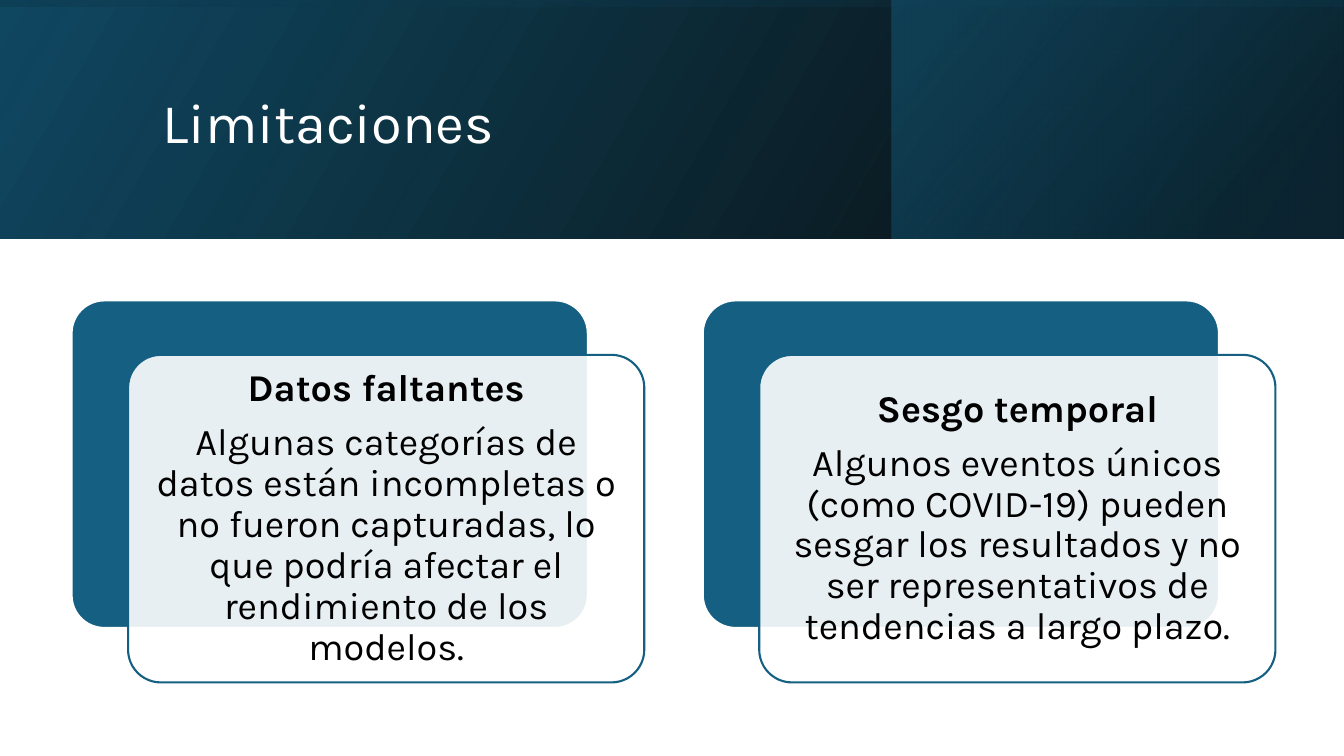
from pptx import Presentation
from pptx.dml.color import RGBColor
from pptx.enum.shapes import MSO_SHAPE
from pptx.enum.text import MSO_ANCHOR, MSO_AUTO_SIZE, PP_ALIGN
from pptx.oxml import parse_xml
from pptx.oxml.ns import nsdecls, qn
from pptx.util import Inches, Pt

RECTANGLE, ROUNDED = MSO_SHAPE.RECTANGLE, MSO_SHAPE.ROUNDED_RECTANGLE
MIDDLE, NO_FIT = MSO_ANCHOR.MIDDLE, MSO_AUTO_SIZE.NONE
LEFT, CENTER = PP_ALIGN.LEFT, PP_ALIGN.CENTER

COLORS = {
    "white": "FFFFFF",
    "black": "000000",
    "teal": "156082",
    "deep": "104862",
    "night": "0B3041",
}
FONT = "Karla"
TITLE_ONLY = 5

# Box, rotation, gradient angle, stops of (position %, color, opacity %)
BANDS = [
    ((0, 0, 13.33, 2.37), 0, 330, [(0, "black", 96), (100, "deep", 100)]),
    ((8.84, 0, 4.48, 2.37), 0, 320, [(19, "night", 68), (100, "teal", 48)]),
    ((5.48, -5.48, 2.37, 13.33), 270, 350, [(23, "deep", 16), (99, "black", 45)]),
]
CARDS = [
    ("Datos faltantes",
     "Algunas categorías de datos están incompletas o no fueron capturadas, "
     "lo que podría afectar el rendimiento de los modelos."),
    ("Sesgo temporal",
     "Algunos eventos únicos (como COVID-19) pueden sesgar los resultados y "
     "no ser representativos de tendencias a largo plazo."),
]
CARD_LEFT, CARD_TOP, CARD_PITCH = 0.71, 2.98, 6.26
CARD_WIDTH, CARD_HEIGHT = 5.12, 3.25
OFFSET_X, OFFSET_Y, TEXT_INSET = 0.56, 0.54, 0.1


def rgb(name):
    return RGBColor.from_string(COLORS[name])


class Slide:
    def __init__(self, deck):
        self.page = deck.slides.add_slide(deck.slide_layouts[TITLE_ONLY])
        self.shapes = self.page.shapes

    def band(self, box, rotation, angle, stops):
        """Mirrored rectangle with a translucent linear gradient."""
        shape = self.shapes.add_shape(RECTANGLE, *map(Inches, box))
        shape.shadow.inherit = False
        shape.rotation = rotation
        shape.line.fill.background()
        shape.fill.background()
        properties = shape._element.spPr
        properties.find(qn("a:xfrm")).set("flipH", "1")
        stop_xml = "".join(
            f'<a:gs pos="{position * 1000}"><a:srgbClr val="{COLORS[color]}">'
            f'<a:alpha val="{opacity * 1000}"/></a:srgbClr></a:gs>'
            for position, color, opacity in stops)
        gradient = parse_xml(
            f'<a:gradFill {nsdecls("a")} rotWithShape="1"><a:gsLst>{stop_xml}</a:gsLst>'
            f'<a:lin ang="{angle * 60000}" scaled="0"/></a:gradFill>')
        properties.replace(properties.find(qn("a:noFill")), gradient)

    def title(self, text, box):
        title = self.shapes.title
        title.left, title.top, title.width, title.height = map(Inches, box)
        frame = title.text_frame
        frame.text = text
        frame.word_wrap = True
        frame.auto_size = NO_FIT
        frame.vertical_anchor = MIDDLE
        self.format(frame.paragraphs[0], 40, "white", LEFT)
        # Keep the title above the gradient bands
        self.shapes._spTree.append(title._element)

    def format(self, para, size, color, align, bold=False):
        para.alignment = align
        para.line_spacing = 0.9
        for span in para.runs:
            span.font.name = FONT
            span.font.size = Pt(size)
            span.font.bold = bold
            span.font.color.rgb = rgb(color)

    def panel(self, group, box, fill, line, opacity=100):
        shape = group.shapes.add_shape(ROUNDED, *map(Inches, box))
        shape.shadow.inherit = False
        shape.adjustments[0] = 0.1
        shape.fill.solid()
        shape.fill.fore_color.rgb = rgb(fill)
        shape.line.color.rgb = rgb(line)
        shape.line.width = Pt(1.5)
        if opacity < 100:
            color = shape._element.spPr.find(qn("a:solidFill"))[0]
            color.append(parse_xml(f'<a:alpha {nsdecls("a")} val="{opacity * 1000}"/>'))

    def card_text(self, group, box, heading, body):
        frame = group.shapes.add_textbox(*map(Inches, box)).text_frame
        frame.word_wrap = True
        frame.vertical_anchor = MIDDLE
        frame.margin_left = frame.margin_right = Inches(0.11)
        frame.margin_top = frame.margin_bottom = Inches(0.11)
        frame.text = f"{heading}\n{body}"
        for para, bold in zip(frame.paragraphs, (True, False)):
            self.format(para, 27, "black", CENTER, bold)
            para.space_after = Pt(9.45)

    def card(self, group, left, heading, body):
        size = (CARD_WIDTH, CARD_HEIGHT)
        front_left, front_top = left + OFFSET_X, CARD_TOP + OFFSET_Y
        self.panel(group, (left, CARD_TOP, *size), "teal", "white")
        self.panel(group, (front_left, front_top, *size), "white", "teal", 90)
        text_box = (front_left + TEXT_INSET, front_top + TEXT_INSET,
                    CARD_WIDTH - 2 * TEXT_INSET, CARD_HEIGHT - 2 * TEXT_INSET)
        self.card_text(group, text_box, heading, body)


def main():
    deck = Presentation()
    deck.slide_width, deck.slide_height = Inches(13.33), Inches(7.5)
    slide = Slide(deck)

    # Header
    for band in BANDS:
        slide.band(*band)
    slide.title("Limitaciones", (1.51, 0.38, 10.63, 1.72))

    # Cards
    group = slide.shapes.add_group_shape()
    for index, (heading, body) in enumerate(CARDS):
        slide.card(group, CARD_LEFT + index * CARD_PITCH, heading, body)

    deck.save("out.pptx")


if __name__ == "__main__":
    main()
